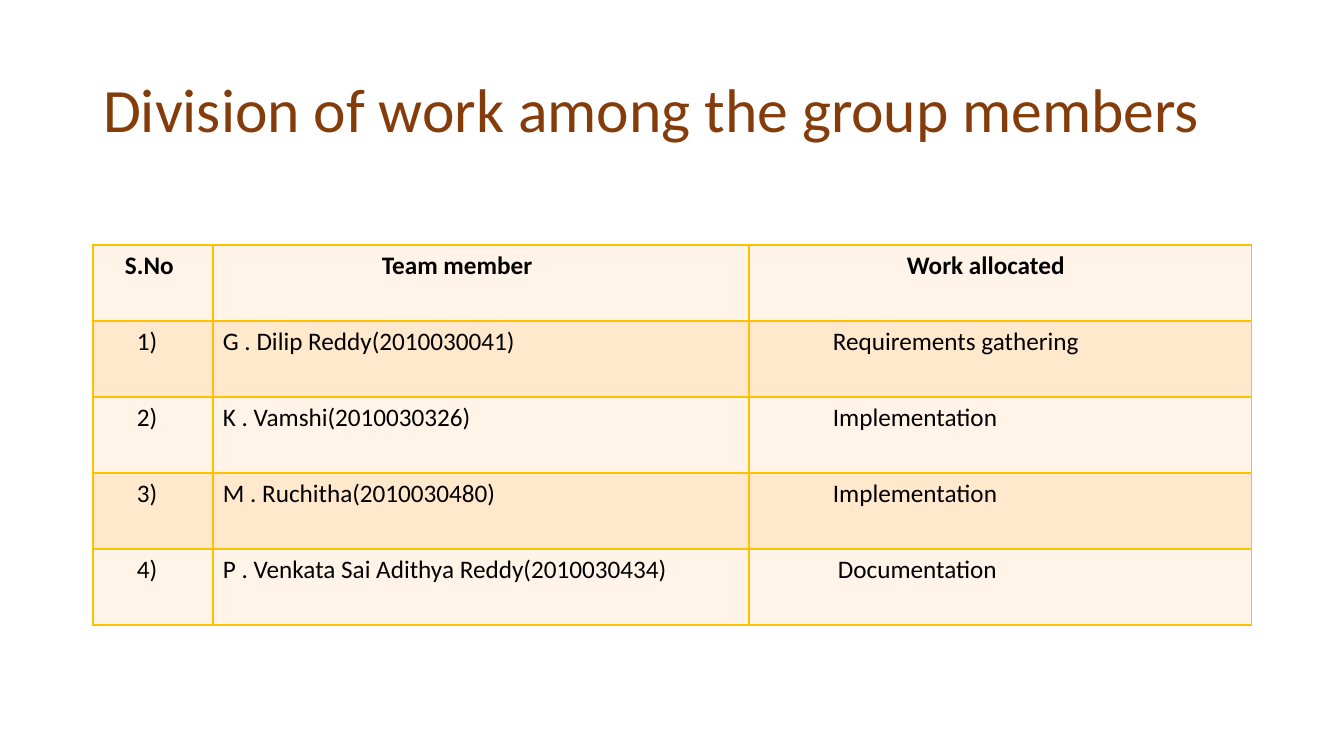
from lxml import etree
from pptx import Presentation
from pptx import util as u
from pptx.dml.color import RGBColor
from pptx.enum import text
from pptx.oxml import ns

COLORS = {
    "title": "843C0B",
    "ink": "000000",
    "border": "FFC000",
    "light": "FFF4E7",
    "dark": "FFE8CC",
}
FONT = "Calibri"
CELL_INSET = 10
COLUMN_WIDTHS = [120, 536, 503]
ROW_HEIGHT = 76
HEADER = [("S.No", 22), ("Team member", 159), ("Work allocated", 148)]
ALLOCATIONS = [
    ("G . Dilip Reddy(2010030041)", "Requirements gathering", 74),
    ("K . Vamshi(2010030326)", "Implementation", 74),
    ("M . Ruchitha(2010030480)", "Implementation", 74),
    ("P . Venkata Sai Adithya Reddy(2010030434)", "Documentation", 79),
]


def px(length):
    return u.Emu(round(length * 914400 / 100.8))


class SlideBuilder:
    def __init__(self, slide):
        self.slide = slide

    def style(self, paragraph, size, color, bold=False):
        font = paragraph.font
        font.name = FONT
        font.size = u.Pt(size)
        font.bold = bold
        font.color.rgb = RGBColor.from_string(COLORS[color])

    def title(self, words, left, top, width, height):
        box = self.slide.shapes.title
        box.left, box.top, box.width, box.height = map(px, (left, top, width, height))
        frame = box.text_frame
        frame.text = words
        frame.word_wrap = True
        frame.vertical_anchor = text.MSO_ANCHOR.MIDDLE
        para = frame.paragraphs[0]
        para.alignment = text.PP_ALIGN.LEFT
        para.line_spacing = 0.9
        self.style(para, 44, "title")

    def border(self, cell):
        properties = cell._tc.get_or_add_tcPr()
        for side in ("a:lnL", "a:lnR", "a:lnT", "a:lnB"):
            line = etree.SubElement(properties, ns.qn(side), w=str(u.Pt(1)))
            fill = etree.SubElement(line, ns.qn("a:solidFill"))
            etree.SubElement(fill, ns.qn("a:srgbClr"), val=COLORS["border"])

    def cell(self, cell, words, indent, fill, bold):
        self.border(cell)
        cell.fill.solid()
        cell.fill.fore_color.rgb = RGBColor.from_string(COLORS[fill])
        cell.margin_left = px(CELL_INSET + indent)
        cell.text = words
        self.style(cell.text_frame.paragraphs[0], 18, "ink", bold)

    def table(self, rows, left, top, widths, row_height):
        frame = self.slide.shapes.add_table(
            len(rows), len(widths), px(left), px(top),
            px(sum(widths)), px(row_height * len(rows)))
        table = frame.table
        table.horz_banding = False
        for column, width in zip(table.columns, widths):
            column.width = px(width)
        for r, entries in enumerate(rows):
            table.rows[r].height = px(row_height)
            fill = "dark" if r % 2 else "light"
            for c, (words, indent) in enumerate(entries):
                self.cell(table.cell(r, c), words, indent, fill, bold=r == 0)


def main():
    deck = Presentation()
    deck.slide_width, deck.slide_height = px(1344), px(756)
    page = SlideBuilder(deck.slides.add_slide(deck.slide_layouts[5]))
    page.title("Division of work among the group members", 93, 40, 1159, 146)
    rows = [HEADER] + [
        [(f"{number})", 34), (member, 0), (work, indent)]
        for number, (member, work, indent) in enumerate(ALLOCATIONS, 1)
    ]
    page.table(rows, 93, 245, COLUMN_WIDTHS, ROW_HEIGHT)
    deck.save("out.pptx")


if __name__ == "__main__":
    main()
